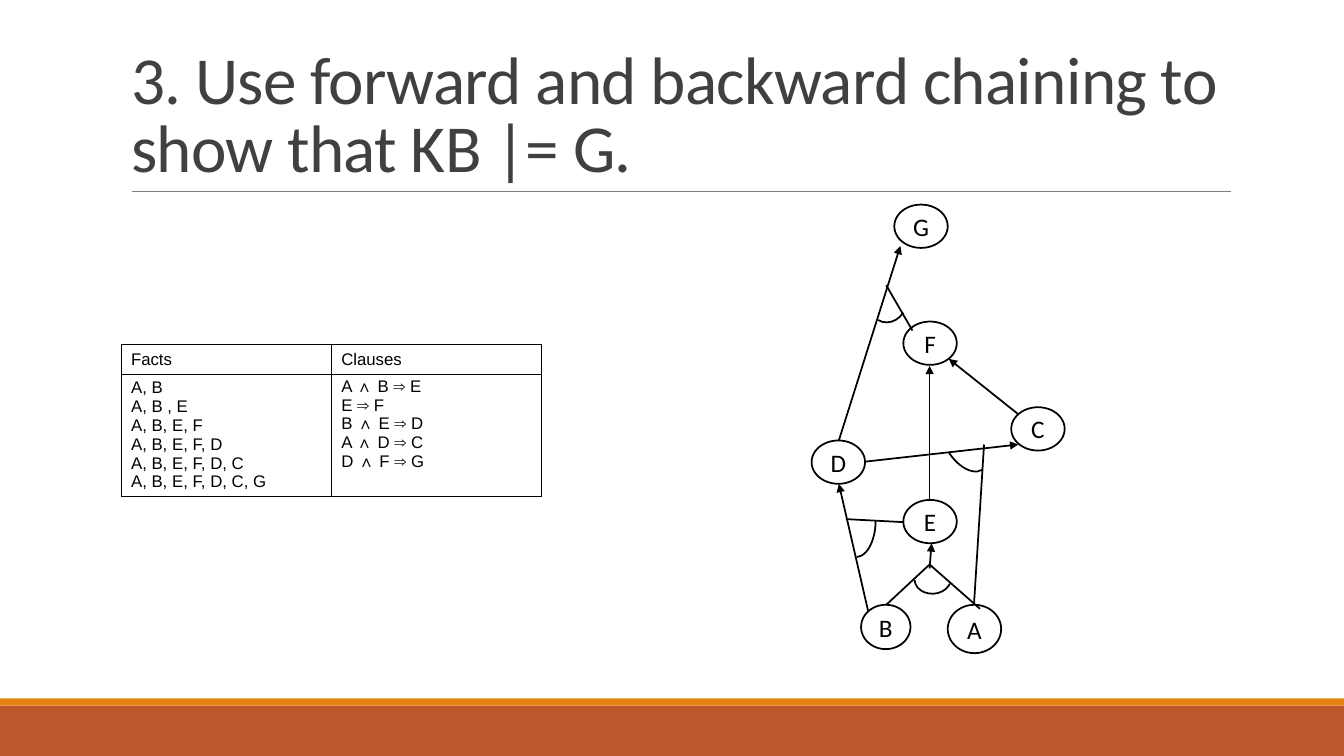
from lxml.etree import SubElement
from pptx import Presentation
from pptx.dml.color import RGBColor
from pptx.enum.shapes import MSO_CONNECTOR as Connector, MSO_SHAPE as Shape
from pptx.enum.text import MSO_ANCHOR as Anchor, MSO_AUTO_SIZE as AutoSize, PP_ALIGN as Align
from pptx.oxml import parse_xml
from pptx.oxml.ns import nsdecls, qn
from pptx.util import Inches, Pt

BLACK = RGBColor(0x00, 0x00, 0x00)
TITLE_GRAY = RGBColor(0x40, 0x40, 0x40)
RULE_GRAY = RGBColor(0x80, 0x80, 0x80)
RUST = RGBColor(0xBD, 0x58, 0x2C)
ORANGE = RGBColor(0xE4, 0x83, 0x12)

TITLE = "3. Use forward and backward chaining to show that KB |= G."
FACTS = ["A, B", "A, B , E", "A, B, E, F", "A, B, E, F, D", "A, B, E, F, D, C", "A, B, E, F, D, C, G"]
CLAUSES = ["A ∧ B ⇒ E", "E ⇒ F", "B ∧ E ⇒ D", "A ∧ D ⇒ C", "D ∧ F ⇒ G"]

# Symbol: left, top, width, height
NODES = {
    "G": (8.87, 2.03, 0.53, 0.43),
    "F": (8.96, 3.19, 0.53, 0.43),
    "C": (10.03, 4.04, 0.53, 0.43),
    "D": (8.05, 4.37, 0.53, 0.43),
    "E": (8.96, 4.96, 0.53, 0.43),
    "B": (8.54, 6, 0.49, 0.44),
    "A": (9.4, 6, 0.53, 0.48),
}
# Start x, start y, end x, end y
ARROWS = [
    (9.22, 5.64, 9.24, 5.39),   # A and B to E
    (8.61, 6.06, 8.32, 4.8),    # B to D
    (8.58, 4.58, 10.1, 4.41),   # D to C
    (9.22, 4.96, 9.22, 3.63),   # E to F
    (10.1, 4.11, 9.41, 3.56),   # C to F
    (8.32, 4.37, 8.93, 2.44),   # D to G
]
JOINING_LINES = [
    (8.79, 2.83, 9.05, 3.28),   # F joins D to G
    (8.79, 6, 9.22, 5.6),       # B joins A
    (9.22, 5.6, 9.72, 6.04),    # A joins B
    (8.39, 5.15, 8.96, 5.18),   # E joins B to D
    (9.66, 6, 9.76, 4.41),      # A joins D to C
]
# Box, rotation, start adjustment
AND_ARCS = [
    ((9.07, 5.6, 0.36, 0.29), 176.7, 118.757),
    ((8.13, 4.97, 0.73, 0.38), 90, None),
    ((9.38, 4.06, 0.38, 0.65), 147.7, None),
    ((8.62, 2.84, 0.39, 0.34), 122.4, None),
]


def write(frame, lines, size=12, font="Arial", color=BLACK, align=Align.LEFT,
          anchor=Anchor.MIDDLE, line_spacing=None, tracking=None):
    frame.vertical_anchor = anchor
    for index, line in enumerate(lines):
        paragraph = frame.add_paragraph() if index else frame.paragraphs[0]
        paragraph.alignment = align
        paragraph.line_spacing = line_spacing
        run = paragraph.add_run()
        run.text = line
        run.font.size, run.font.name = Pt(size), font
        run.font.color.rgb = color
        if tracking is not None:
            run._r.get_or_add_rPr().set("spc", str(tracking))


def add_outline(shapes, kind, box, fill=None, line=None):
    shape = shapes.add_shape(kind, *map(Inches, box))
    shape.shadow.inherit = False
    if fill is None:
        shape.fill.background()
    else:
        shape.fill.solid()
        shape.fill.fore_color.rgb = fill
    if line is None:
        shape.line.fill.background()
    else:
        shape.line.color.rgb = line
        shape.line.width = Pt(1.25)
    return shape


def add_line(shapes, ends, color=BLACK, width=1.25, arrow=False):
    line = shapes.add_connector(Connector.STRAIGHT, *map(Inches, ends))
    line.line.color.rgb = color
    line.line.width = Pt(width)
    if arrow:
        SubElement(line.line._get_or_add_ln(), qn("a:tailEnd"), type="triangle")
    SubElement(line._element.spPr, qn("a:effectLst"))


def add_node(shapes, symbol, box):
    node = add_outline(shapes, Shape.OVAL, box, line=BLACK)
    frame = node.text_frame
    frame.word_wrap = False
    frame.margin_left = frame.margin_right = frame.margin_top = frame.margin_bottom = 0
    write(frame, [symbol], size=18, font="Calibri", align=Align.CENTER)


def add_and_arc(shapes, box, rotation, start):
    arc = add_outline(shapes, Shape.ARC, box, line=BLACK)
    arc.rotation = rotation
    if start is not None:
        arc.adjustments[0] = start


def add_borders(cell):
    properties = cell._tc.get_or_add_tcPr()
    for index, side in enumerate(("lnL", "lnR", "lnT", "lnB")):
        properties.insert(index, parse_xml(
            f'<a:{side} {nsdecls("a")} w="{Pt(0.4)}"><a:solidFill>'
            f'<a:srgbClr val="{BLACK}"/></a:solidFill></a:{side}>'))


def add_inference_table(shapes):
    table = shapes.add_table(2, 2, Inches(1.2), Inches(3.42), Inches(4.17), Inches(1.5)).table
    table.rows[0].height, table.rows[1].height = Inches(0.29), Inches(1.21)
    for column, entries in enumerate((FACTS, CLAUSES)):
        for row, lines in enumerate(([("Facts", "Clauses")[column]], entries)):
            cell = table.cell(row, column)
            cell.fill.background()
            cell.margin_top = cell.margin_bottom = Inches(0.03)
            write(cell.text_frame, lines)
            cell.vertical_anchor = Anchor.TOP if lines is CLAUSES else Anchor.MIDDLE
            add_borders(cell)


def add_title(slide):
    title = slide.shapes.title
    title.left, title.top, title.width, title.height = map(Inches, (1.2, 0.31, 11, 1.59))
    title.text_frame.auto_size = AutoSize.NONE
    write(title.text_frame, [TITLE], size=48, font="Calibri", color=TITLE_GRAY,
          anchor=Anchor.BOTTOM, line_spacing=0.85, tracking=-50)


def main():
    deck = Presentation()
    deck.slide_width, deck.slide_height = Inches(13.33), Inches(7.5)
    slide = deck.slides.add_slide(deck.slide_layouts[5])
    shapes = slide.shapes

    # Footer bands, title and its rule
    add_outline(shapes, Shape.RECTANGLE, (0, 7, 13.33, 0.5), fill=RUST)
    add_outline(shapes, Shape.RECTANGLE, (0, 6.93, 13.33, 0.07), fill=ORANGE)
    add_line(shapes, (1.31, 1.9, 12.21, 1.9), color=RULE_GRAY, width=0.5)
    add_title(slide)

    # Facts and clauses
    add_inference_table(shapes)

    # AND-OR graph
    graph = shapes.add_group_shape().shapes
    for ends in JOINING_LINES:
        add_line(graph, ends)
    for ends in ARROWS:
        add_line(graph, ends, arrow=True)
    for box, rotation, start in AND_ARCS:
        add_and_arc(graph, box, rotation, start)
    for symbol, box in NODES.items():
        add_node(graph, symbol, box)

    deck.save("out.pptx")


if __name__ == "__main__":
    main()
